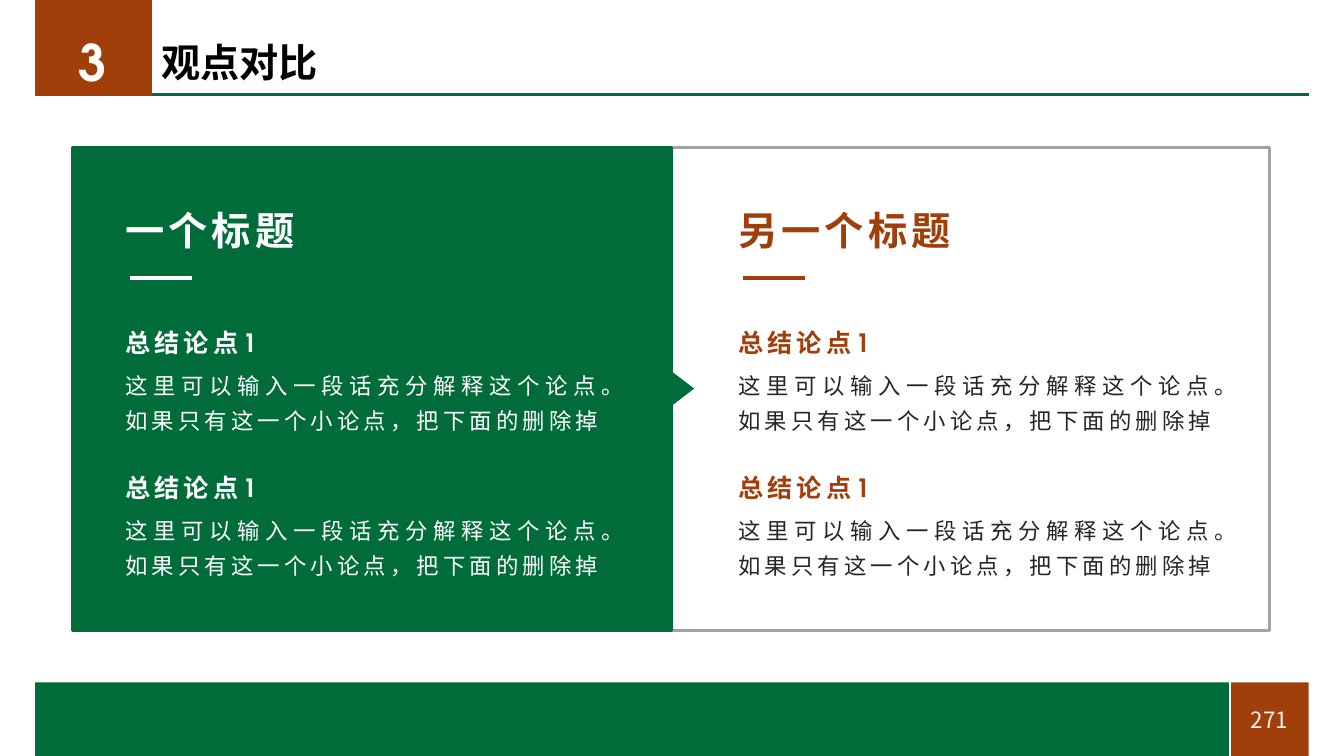
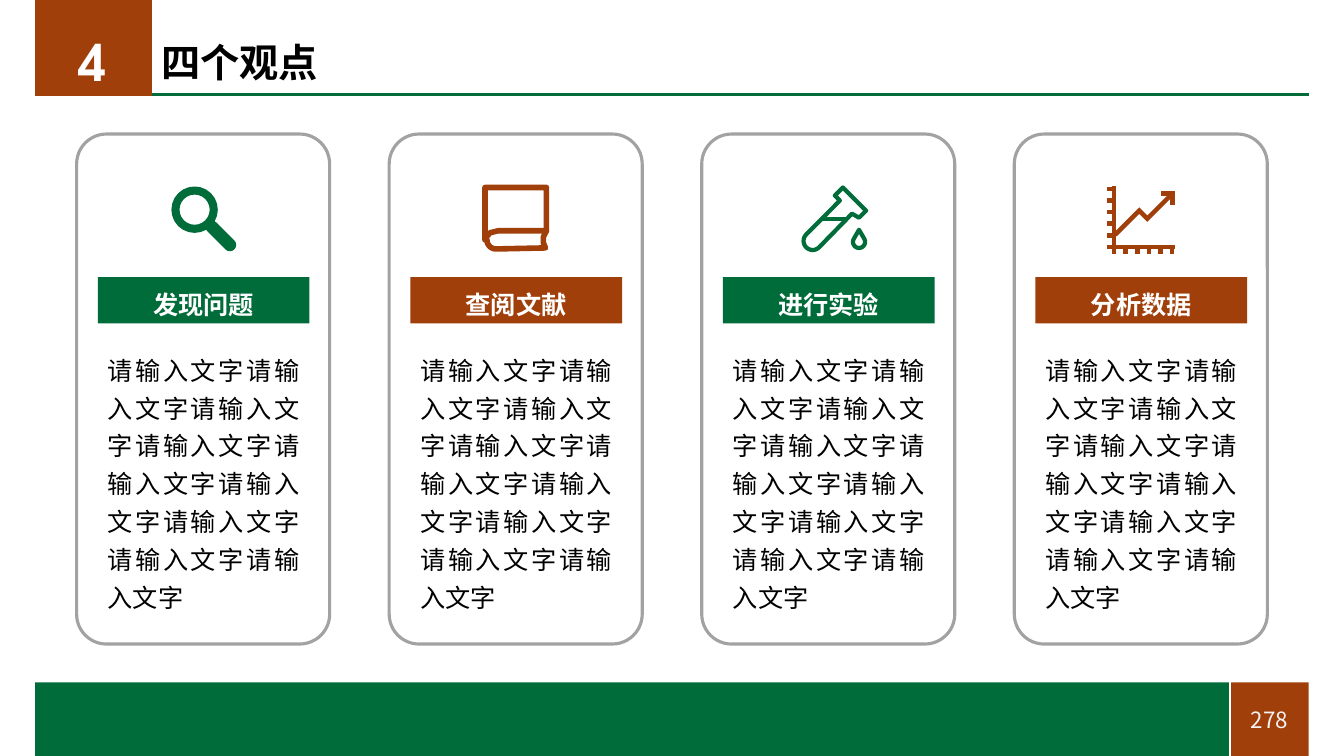
from dataclasses import dataclass
from math import cos, radians, sin

from lxml import etree
from pptx import Presentation
from pptx.dml.color import RGBColor
from pptx.enum.shapes import MSO_CONNECTOR, MSO_SHAPE
from pptx.enum.text import MSO_ANCHOR, PP_ALIGN
from pptx.oxml.ns import qn
from pptx.util import Inches, Pt

RECTANGLE = MSO_SHAPE.RECTANGLE
ROUNDED = MSO_SHAPE.ROUNDED_RECTANGLE
TRIANGLE = MSO_SHAPE.ISOSCELES_TRIANGLE
STRAIGHT = MSO_CONNECTOR.STRAIGHT
LEFT, CENTER, JUSTIFY = PP_ALIGN.LEFT, PP_ALIGN.CENTER, PP_ALIGN.JUSTIFY
TOP, MIDDLE = MSO_ANCHOR.TOP, MSO_ANCHOR.MIDDLE
TEXT_INSETS = (0.1, 0.05)


@dataclass(frozen=True)
class Theme:
    green: str = "006C39"
    rust: str = "A13F0B"
    gray: str = "A2A2A2"
    white: str = "FFFFFF"
    pale: str = "F2F2F2"
    black: str = "000000"
    ink: str = "262626"
    sans: str = "Noto Sans CJK SC"
    geometric: str = "TeX Gyre Adventor"
    label_face: str = "Arial"
    number_size: int = 36
    title_size: int = 28
    heading_size: int = 18
    body_size: int = 16
    border: float = 2.25


class Painter:
    """Holds the theme and the slide being drawn; lengths are in inches."""

    def __init__(self, deck, theme):
        self.deck = deck
        self.theme = theme
        self.page = None

    def start_page(self, section, title, number):
        theme = self.theme
        self.page = self.deck.slides.add_slide(self.deck.slide_layouts[6])
        self.line((1.49, 0.94), (12.98, 0.94), theme.green, theme.border)
        self.shape(RECTANGLE, (12.2, 6.77, 0.78, 0.73), theme.rust)
        self.shape(RECTANGLE, (0.35, 0, 1.15, 0.95), theme.rust, theme.rust, 1)
        self.shape(RECTANGLE, (0.35, 6.77, 11.86, 0.73), theme.green)
        self.line((12.2, 6.77), (12.2, 7.5), theme.white, 1)
        self.text((12.29, 6.95, 0.6, 0.37), number, theme.body_size, theme.pale,
                  align=CENTER, anchor=MIDDLE)
        self.text((1.5, 0.38, 9.45, 0.53), title, theme.title_size, theme.black,
                  bold=True, anchor=MIDDLE, spacing=0.9)
        self.text((0.39, 0.26, 1.06, 0.71), section, theme.number_size, theme.white,
                  face=theme.geometric, bold=True, align=CENTER)

    def shape(self, kind, place, fill=None, line=None, weight=None):
        shape = self.page.shapes.add_shape(kind, *map(Inches, place))
        self.finish(shape, fill, line, weight)
        return shape

    def finish(self, shape, fill, line, weight):
        shape.shadow.inherit = False
        if fill:
            shape.fill.solid()
            shape.fill.fore_color.rgb = RGBColor.from_string(fill)
        else:
            shape.fill.background()
        if line:
            shape.line.color.rgb = RGBColor.from_string(line)
            shape.line.width = Pt(weight)
        else:
            shape.line.fill.background()

    def line(self, start, end, color, weight):
        line = self.page.shapes.add_connector(STRAIGHT, *map(Inches, start + end))
        line.line.color.rgb = RGBColor.from_string(color)
        line.line.width = Pt(weight)
        etree.SubElement(line._element.spPr, qn("a:effectLst"))

    def text(self, place, words, size, color, **style):
        box = self.page.shapes.add_textbox(*map(Inches, place))
        self.set_text(box.text_frame, words, size, color, **style)

    def set_text(self, frame, words, size, color, face=None, bold=False, align=LEFT,
                 anchor=TOP, spacing=1.0, tracking=0, insets=TEXT_INSETS):
        frame.word_wrap = True
        frame.vertical_anchor = anchor
        frame.margin_left = frame.margin_right = Inches(insets[0])
        frame.margin_top = frame.margin_bottom = Inches(insets[1])
        para = frame.paragraphs[0]
        para.text = words
        para.alignment = align
        para.line_spacing = spacing
        font = para.font
        font.name = face or self.theme.sans
        font.size = Pt(size)
        font.bold = bold
        font.color.rgb = RGBColor.from_string(color)
        etree.SubElement(font._element, qn("a:ea"), typeface=self.theme.sans)
        if tracking:
            font._element.set("spc", str(tracking * 100))

    def strokes(self, origin, contours, color, weight, rounded):
        """Draws several open outlines as one unfilled freeform."""
        contours = [[(Inches(origin[0] + x), Inches(origin[1] + y)) for x, y in contour]
                    for contour in contours]
        builder = self.page.shapes.build_freeform(*contours[0][0], scale=1.0)
        for index, contour in enumerate(contours):
            if index:
                builder.move_to(*contour[0])
            builder.add_line_segments(contour[1:], close=False)
        outline = builder.convert_to_shape()
        self.finish(outline, None, color, weight)
        line_xml = outline.line._get_or_add_ln()
        line_xml.set("cap", "rnd" if rounded else "flat")
        if rounded:
            etree.SubElement(line_xml, qn("a:round"))
        else:
            etree.SubElement(line_xml, qn("a:miter"), lim="800000")

    def panel_text(self, left, title, points, accent, body_color):
        theme = self.theme
        tight = {"insets": (0, 0), "spacing": 1.3, "tracking": 3}
        self.text((left, 1.91, 2.9, 0.61), title, theme.title_size, accent,
                  bold=True, **tight)
        self.line((left + 0.05, 2.76), (left + 0.66, 2.76), accent, 3)
        for index, (heading, body) in enumerate(points):
            top = 3.16 + 1.44 * index
            self.text((left, top, 5, 0.35), heading, theme.heading_size, accent,
                      face=theme.geometric, bold=True, **tight)
            self.text((left, top + 0.45, 5, 0.67), body, theme.body_size, body_color,
                      face=theme.geometric, align=JUSTIFY, **tight)

    def card(self, left, label, body, accent, icon):
        theme = self.theme
        frame = self.shape(ROUNDED, (left, 1.33, 2.51, 5.06), None, theme.gray, theme.border)
        frame.adjustments[0] = 0.118
        for weight, rounded, contours in icon:
            self.strokes((left + 0.92, 1.84), contours, accent, weight, rounded)
        band = self.shape(RECTANGLE, (left + 0.21, 2.75, 2.1, 0.46), accent)
        self.set_text(band.text_frame, label, theme.heading_size, theme.white,
                      face=theme.label_face, bold=True, align=CENTER, anchor=MIDDLE,
                      spacing=1.25, insets=(0, 0.05))
        self.text((left + 0.21, 3.4, 2.1, 2.93), body, theme.heading_size, theme.black,
                  align=JUSTIFY, spacing=1.25)


def arc(x, y, radius, start, end, steps=24):
    """Points along a circle, angles in degrees, clockwise on the page."""
    angles = [radians(start + (end - start) * step / steps) for step in range(steps + 1)]
    return [(x + radius * cos(angle), y + radius * sin(angle)) for angle in angles]


def magnifier_icon():
    return [(5.75, True, [arc(0.25, 0.24, 0.19, 0, 360)]),
            (9, True, [[(0.42, 0.41), (0.6, 0.59)]])]


def book_icon():
    cover = [(0.64, 0.45), (0.64, 0.02), (0.03, 0.02), (0.03, 0.54)]
    spine = arc(0.14, 0.54, 0.09, 180, 90)
    pages = [(0.63, 0.62), (0.61, 0.57), (0.61, 0.51), (0.64, 0.45)]
    fold = [(0.64, 0.45), (0.16, 0.45), (0.08, 0.47), (0.03, 0.53)]
    return [(4, True, [cover + spine + pages, fold])]


def test_tube_icon():
    cap = [(0.48, 0.02), (0.71, 0.25), (0.64, 0.32), (0.57, 0.28)]
    base = arc(0.18, 0.55, 0.09, 45, 225)
    neck = [(0.45, 0.15), (0.4, 0.1), (0.48, 0.02)]
    drop = [(0.64, 0.44)] + arc(0.64, 0.56, 0.06, -30, 210) + [(0.64, 0.44)]
    level = [(0.29, 0.33), (0.51, 0.33)]
    return [(3, True, [cap + base + neck, level, drop])]


def chart_icon():
    axes = [(0.07, 0.01), (0.07, 0.61), (0.67, 0.61)]
    steps = [0.115 * index for index in range(6)]
    side_ticks = [[(0, 0.61 - step), (0.07, 0.61 - step)] for step in steps]
    base_ticks = [[(0.07 + step, 0.61), (0.07 + step, 0.68)] for step in steps]
    trend = [(0.08, 0.49), (0.32, 0.25), (0.4, 0.33), (0.64, 0.09)]
    head = [(0.54, 0.08), (0.65, 0.08), (0.65, 0.19)]
    return [(3.25, False, [axes, trend, head] + side_ticks + base_ticks)]


def draw_comparison(painter):
    theme = painter.theme
    painter.start_page("3", "观点对比", "271")
    painter.shape(RECTANGLE, (6.65, 1.46, 5.94, 4.8), None, theme.gray, theme.border)
    painter.shape(RECTANGLE, (0.72, 1.46, 5.94, 4.8), theme.green, theme.green, theme.border)
    pointer = painter.shape(TRIANGLE, (6.62, 3.75, 0.32, 0.21), theme.green)
    pointer.rotation = 90
    points = [("总结论点1",
               "这里可以输入一段话充分解释这个论点。如果只有这一个小论点，把下面的删除掉")] * 2
    painter.panel_text(1.24, "一个标题", points, theme.white, theme.white)
    painter.panel_text(7.32, "另一个标题", points, theme.rust, theme.ink)


def draw_four_views(painter):
    theme = painter.theme
    painter.start_page("4", "四个观点", "278")
    cards = [("发现问题", theme.green, magnifier_icon()),
             ("查阅文献", theme.rust, book_icon()),
             ("进行实验", theme.green, test_tube_icon()),
             ("分析数据", theme.rust, chart_icon())]
    body = "请输入文字" * 9
    for index, (label, accent, icon) in enumerate(cards):
        painter.card(0.76 + 3.1 * index, label, body, accent, icon)


def main():
    deck = Presentation()
    deck.slide_width = Inches(13.33)
    deck.slide_height = Inches(7.5)
    painter = Painter(deck, Theme())
    draw_comparison(painter)
    draw_four_views(painter)
    deck.save("out.pptx")


if __name__ == "__main__":
    main()
